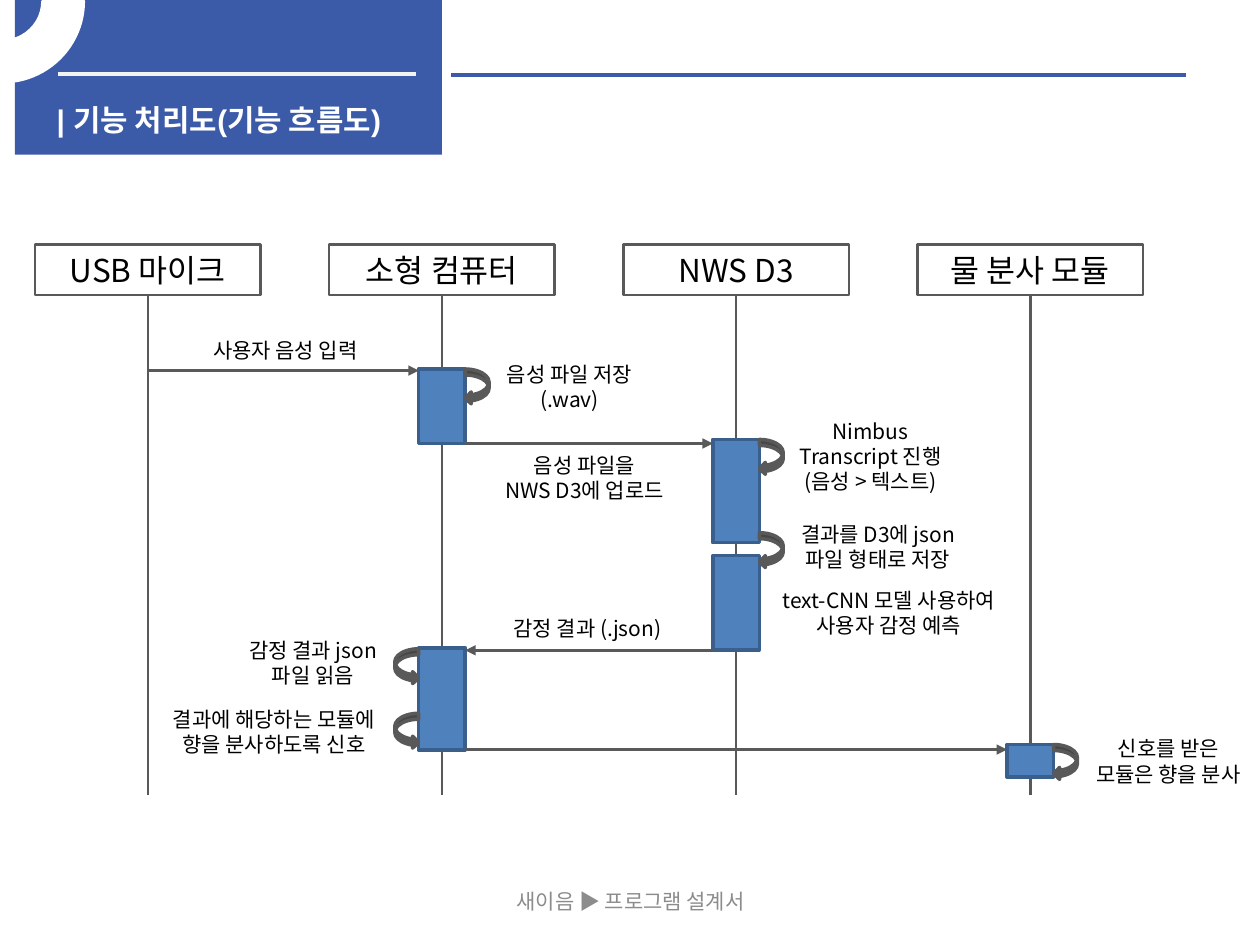
"""Build the sequence diagram slide of a voice-driven scent sprayer."""
import lxml.etree
import pptx
import pptx.dml.color
import pptx.enum.shapes
import pptx.enum.text
import pptx.oxml.ns
import pptx.util

Cm = pptx.util.Cm
Pt = pptx.util.Pt
Shape = pptx.enum.shapes.MSO_SHAPE
Align = pptx.enum.text.PP_ALIGN
Anchor = pptx.enum.text.MSO_ANCHOR
qn = pptx.oxml.ns.qn

KOREAN_FONT = "Noto Sans CJK KR"
BRAND, WHITE, BLACK, GREY = "3B5AA8", "FFFFFF", "000000", "595959"
BAR_FILL, BAR_LINE, FOOTER_GREY, PALE = "4F81BD", "3A5F8C", "8C8C8C", "F2F2F2"

TITLE = "| 기능 처리도(기능 흐름도)"
FOOTER = "새이음 ▶ 프로그램 설계서"
LANES = ["USB 마이크", "소형 컴퓨터", "NWS D3", "물 분사 모듈"]
# Lane, top, height
BARS = [(1, 7.44, 1.5), (2, 8.86, 2.08), (2, 11.2, 1.9), (1, 13.06, 2.06), (3, 15.01, 0.66)]
# Sender, receiver, height on the page
MESSAGES = [(0, 1, 7.47), (1, 2, 8.94), (2, 1, 13.11), (1, 3, 15.11)]
# Lane, top, side
LOOPS = [(1, 7.44, 1), (2, 8.86, 1), (2, 10.74, 1), (1, 13.08, -1), (1, 14.38, -1), (3, 15.01, 1)]
CAPTIONS = [
    (3.71, 6.68, 4.09, 0.76, ["사용자 음성 입력"]),
    (9.6, 7.16, 3.76, 1.27, ["음성 파일 저장", "(.wav)"]),
    (9.73, 8.99, 4.11, 1.27, ["음성 파일을", "NWS D3에 업로드"]),
    (15.67, 8.31, 3.76, 1.8, ["Nimbus Transcript 진행 (음성 > 텍스트)"]),
    (15.67, 10.39, 4.06, 1.27, ["결과를 D3에 json 파일 형태로 저장"]),
    (15.09, 11.71, 5.66, 1.27, ["text-CNN 모델 사용하여", "사용자 감정 예측"]),
    (9.8, 12.29, 4.09, 0.76, ["감정 결과 (.json)"]),
    (4.57, 12.73, 3.48, 1.27, ["감정 결과 json 파일 읽음"]),
    (2.97, 14.12, 5.11, 1.27, ["결과에 해당하는 모듈에 향을 분사하도록 신호"]),
    (21.51, 14.71, 4.09, 1.27, ["신호를 받은", "모듈은 향을 분사"]),
]

FIRST_LANE, LANE_STEP = 2.98, 5.93
HEADER_TOP, HEADER_WIDTH, HEADER_HEIGHT = 4.93, 4.55, 1.02
LANE_END = 16.03
BAR_WIDTH, LOOP_WIDTH, LOOP_HEIGHT = 0.94, 0.48, 0.71


def color(value):
    return pptx.dml.color.RGBColor.from_string(value)


def lane_x(lane):
    return FIRST_LANE + lane * LANE_STEP


def write(box, lines, size, ink=BLACK, font=KOREAN_FONT, bold=False,
          align=Align.CENTER, anchor=Anchor.TOP):
    frame = box.text_frame
    frame.word_wrap = True
    frame.auto_size = pptx.enum.text.MSO_AUTO_SIZE.NONE
    frame.vertical_anchor = anchor
    for index, line in enumerate(lines):
        para = frame.add_paragraph() if index else frame.paragraphs[0]
        para.alignment = align
        span = para.add_run()
        span.text = line
        span.font.size = Pt(size)
        span.font.bold = bold
        span.font.color.rgb = color(ink)
        span.font.name = font
        lxml.etree.SubElement(span.font._element, qn("a:ea")).set("typeface", KOREAN_FONT)


def add_text(page, left, top, width, height, lines, size, **style):
    box = page.shapes.add_textbox(Cm(left), Cm(top), Cm(width), Cm(height))
    write(box, lines, size, **style)


def add_block(page, preset, left, top, width, height, fill=None, line=None, weight=2, flip=None):
    block = page.shapes.add_shape(preset, Cm(left), Cm(top), Cm(width), Cm(height))
    block.shadow.inherit = False
    if fill:
        block.fill.solid()
        block.fill.fore_color.rgb = color(fill)
    else:
        block.fill.background()
    if line:
        block.line.color.rgb = color(line)
        block.line.width = Pt(weight)
    else:
        block.line.fill.background()
    if flip:
        block._element.spPr.find(qn("a:xfrm")).set(flip, "1")
    return block


def add_line(page, start, end, ink=GREY, weight=1.5, arrow=False):
    line = page.shapes.add_connector(
        pptx.enum.shapes.MSO_CONNECTOR.STRAIGHT, *(Cm(value) for value in start + end))
    line.line.color.rgb = color(ink)
    line.line.width = Pt(weight)
    if arrow:
        lxml.etree.SubElement(line.line._get_or_add_ln(), qn("a:tailEnd")).set("type", "triangle")
    lxml.etree.SubElement(line._element.spPr, qn("a:effectLst"))
    return line


def add_banner(page):
    add_block(page, Shape.RECTANGLE, 0.3, 0, 8.61, 3.12, fill=BRAND)
    add_line(page, (1.17, 1.5), (8.38, 1.5), PALE, 2.25)
    add_line(page, (9.09, 1.52), (23.9, 1.52), BRAND, 2.25)
    ring = add_block(page, Shape.BLOCK_ARC, -1.6, -1.6, 3.28, 3.25, WHITE, WHITE, flip="flipV")
    for index, value in enumerate((96.95, 0, 0.25)):
        ring.adjustments[index] = value
    title = page.shapes.title
    title.left, title.top, title.width, title.height = Cm(0.89), Cm(1.93), Cm(8.2), Cm(0.76)
    write(title, [TITLE], 17, ink=WHITE, font="Arial", bold=True, align=Align.LEFT)
    page.shapes._spTree.append(title._element)


def add_lanes(page):
    for lane, name in enumerate(LANES):
        center = lane_x(lane)
        header = add_block(page, Shape.RECTANGLE, center - HEADER_WIDTH / 2, HEADER_TOP,
                           HEADER_WIDTH, HEADER_HEIGHT, line=GREY, weight=1.5)
        write(header, [name], 18, anchor=Anchor.MIDDLE)
        lifeline = add_line(page, (center, HEADER_TOP + HEADER_HEIGHT), (center, LANE_END))
        lifeline.begin_connect(header, 2)


def add_flow(page):
    half = BAR_WIDTH / 2
    for lane, top, height in BARS:
        add_block(page, Shape.RECTANGLE, lane_x(lane) - half, top, BAR_WIDTH, height,
                  BAR_FILL, BAR_LINE)
    for sender, receiver, y in MESSAGES:
        side = half if receiver > sender else -half
        start = lane_x(sender) + (side if sender else 0)
        add_line(page, (start, y), (lane_x(receiver) - side, y), arrow=True)
    for lane, top, side in LOOPS:
        left = lane_x(lane) + (half if side > 0 else -half - LOOP_WIDTH)
        add_block(page, Shape.CURVED_LEFT_ARROW, left, top, LOOP_WIDTH, LOOP_HEIGHT,
                  GREY, GREY, flip="flipH" if side < 0 else None)
    for left, top, width, height, lines in CAPTIONS:
        add_text(page, left, top, width, height, lines, 12)


def main():
    deck = pptx.Presentation()
    deck.slide_width, deck.slide_height = Cm(25.4), Cm(19.05)
    page = deck.slides.add_slide(deck.slide_layouts[5])
    add_banner(page)
    add_lanes(page)
    add_flow(page)
    add_text(page, 8.69, 17.65, 8.05, 1.02, [FOOTER], 12, ink=FOOTER_GREY, anchor=Anchor.MIDDLE)
    deck.save("out.pptx")


if __name__ == "__main__":
    main()
